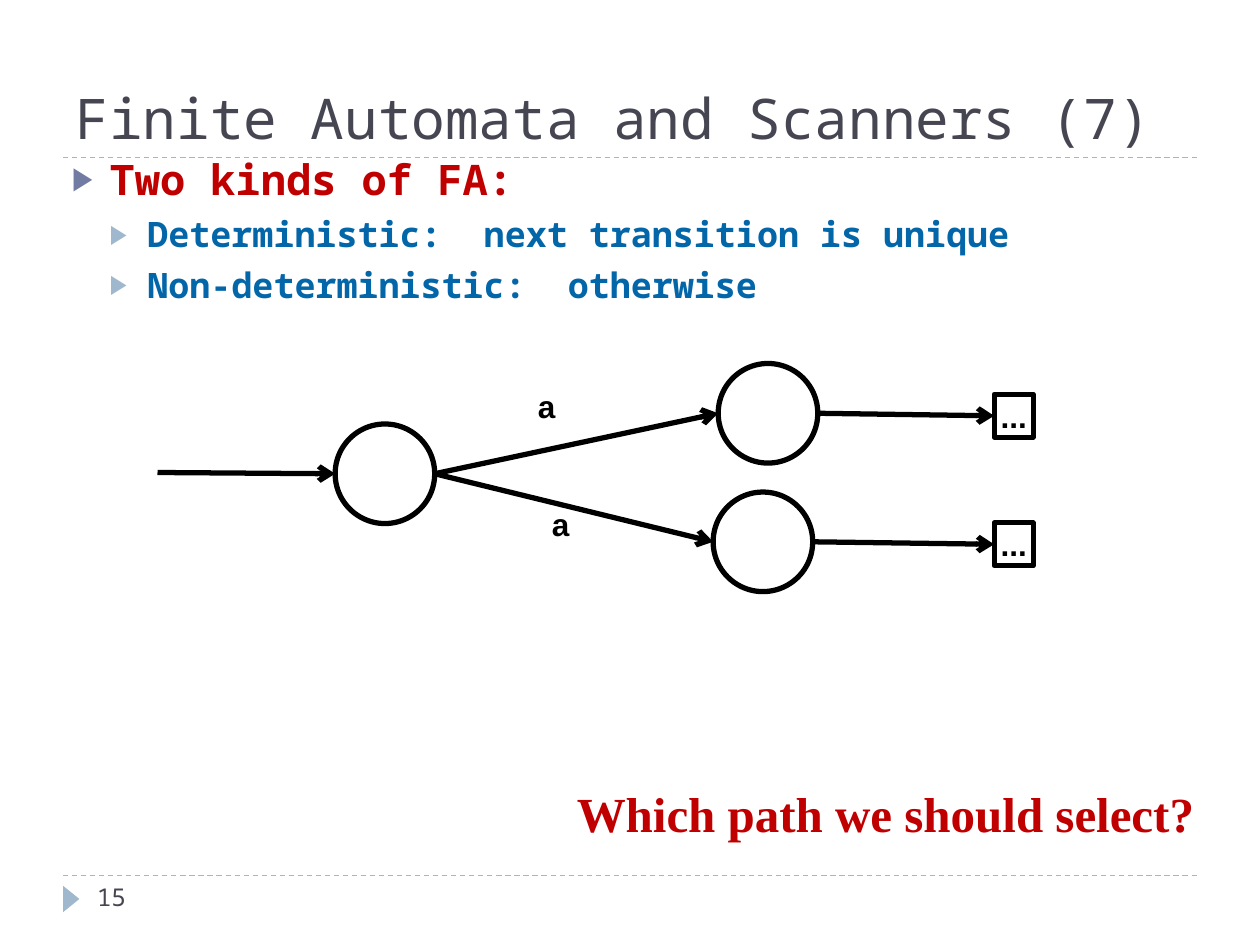
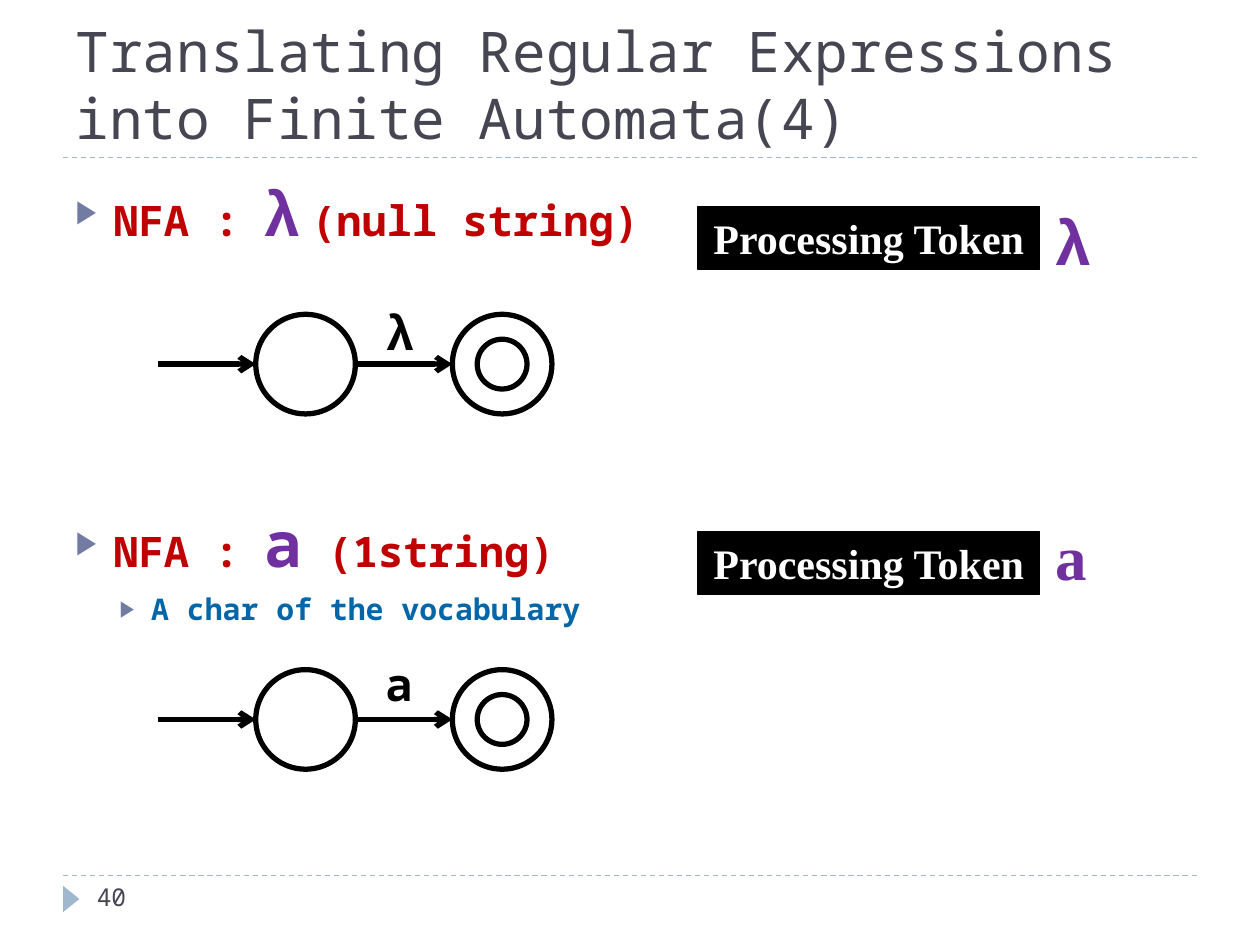
import pptx
import pptx.util
import pptx.dml.color
import pptx.enum.dml
import pptx.enum.shapes
import pptx.enum.text
import pptx.oxml.ns
import lxml.etree

Inches, Pt = pptx.util.Inches, pptx.util.Pt
SHAPE = pptx.enum.shapes.MSO_SHAPE
ANCHOR = pptx.enum.text.MSO_ANCHOR
ALIGN = pptx.enum.text.PP_ALIGN

COLORS = {
    "black": "000000", "white": "FFFFFF", "title": "464653", "red": "C00000",
    "blue": "0366A9", "purple": "7030A0", "band": "9FB8CD", "bullet": "727CA3",
}
MONO, SANS, SERIF = "Noto Sans Mono", "Arial", "Times New Roman"
STATE_SIZE = 0.79
WIDE, TIGHT = (0.1, 0.05), (0.05, 0.02)


def rgb(name):
    return pptx.dml.color.RGBColor.from_string(COLORS[name])


def sub(parent, tag, **attrs):
    return lxml.etree.SubElement(parent, pptx.oxml.ns.qn(tag), **attrs)


# Text
def add_text(p, text, size=18, font=MONO, color="black", bold=True):
    for i, line in enumerate(text.split("\n")):
        if i:
            p.add_line_break()
        r = p.add_run()
        r.text = line
        r.font.size, r.font.name, r.font.bold = Pt(size), font, bold
        r.font.color.rgb = rgb(color)


def set_frame(tf, wrap=False, insets=WIDE, anchor=ANCHOR.TOP):
    tf.auto_size = pptx.enum.text.MSO_AUTO_SIZE.NONE
    tf.word_wrap = wrap
    tf.vertical_anchor = anchor
    tf.margin_left = tf.margin_right = Inches(insets[0])
    tf.margin_top = tf.margin_bottom = Inches(insets[1])


def add_label(s, text, x, y, w, h, insets=WIDE, **fmt):
    tf = s.shapes.add_textbox(Inches(x), Inches(y), Inches(w), Inches(h)).text_frame
    set_frame(tf, insets=insets)
    add_text(tf.paragraphs[0], text, **fmt)


def place(sp, x, y, w, h):
    sp.left, sp.top, sp.width, sp.height = map(Inches, (x, y, w, h))


def add_bullet(p, color, level=0, hang=0.3, before=0):
    p.level = level
    pPr = p._p.get_or_add_pPr()
    pPr.set("marL", str(Inches(0.6 if level else 0.3)))
    pPr.set("indent", str(-Inches(hang)))
    sub(sub(pPr, "a:buClr"), "a:srgbClr", val=COLORS[color])
    sub(pPr, "a:buSzPct", val="76000")
    sub(pPr, "a:buChar", char="▶")
    p.space_before = Pt(before)


def fill_body(s, x, y, items):
    """Each item is (bullet options, list of (text, format) runs)."""
    body = s.placeholders[1]
    place(body, x, y, 9, 5.4)
    tf = body.text_frame
    set_frame(tf, wrap=True)
    for i, (bullet, runs) in enumerate(items):
        p = tf.add_paragraph() if i else tf.paragraphs[0]
        add_bullet(p, **bullet)
        for text, fmt in runs:
            add_text(p, text, **fmt)


# Lines and shapes
def add_line(s, start, end, color="black", width=3, arrow=False):
    c = s.shapes.add_connector(pptx.enum.shapes.MSO_CONNECTOR.STRAIGHT,
                               *map(Inches, (*start, *end)))
    c.line.color.rgb = rgb(color)
    c.line.width = Pt(width)
    if arrow:
        sub(c.line._get_or_add_ln(), "a:tailEnd", type="arrow")
    sub(c._element.spPr, "a:effectLst")
    return c


def add_shape(s, kind, x, y, w, h, fill=None, line=None, width=3):
    sp = s.shapes.add_shape(kind, *map(Inches, (x, y, w, h)))
    sp.shadow.inherit = False
    if fill:
        sp.fill.solid()
        sp.fill.fore_color.rgb = rgb(fill)
    else:
        sp.fill.background()
    if line:
        sp.line.color.rgb = rgb(line)
        sp.line.width = Pt(width)
    else:
        sp.line.fill.background()
    return sp


def add_state(s, x, mid, kind=SHAPE.OVAL, fill=None):
    return add_shape(s, kind, x, mid - STATE_SIZE / 2, STATE_SIZE, STATE_SIZE,
                     fill=fill, line="black")


def add_rest(s, x, mid):
    """Box standing for the rest of the automaton."""
    sp = add_shape(s, SHAPE.RECTANGLE, x, mid - 0.17, 0.31, 0.34, line="black")
    set_frame(sp.text_frame, insets=TIGHT, anchor=ANCHOR.MIDDLE)
    p = sp.text_frame.paragraphs[0]
    p.alignment = ALIGN.CENTER
    add_text(p, "...", font=SANS)
    return sp


def add_token_banner(s, y):
    sp = add_shape(s, SHAPE.RECTANGLE, 5.54, y, 2.71, 0.5, "black", "black", 0.75)
    set_frame(sp.text_frame)
    p = sp.text_frame.paragraphs[0]
    p.alignment = ALIGN.CENTER
    add_text(p, "Processing Token", size=24, font=SERIF, color="white")


def add_two_state_nfa(s, mid):
    start, final = 2.03, 3.59
    add_state(s, start, mid, fill="white")
    add_state(s, final, mid, SHAPE.DONUT, "white")
    add_line(s, (1.25, mid), (start, mid), arrow=True)
    add_line(s, (start + STATE_SIZE, mid), (final, mid), arrow=True)


# Shared slide frame
def new_slide(prs, title, number):
    s = prs.slides.add_slide(prs.slide_layouts[1])
    for y in (6.95, 1.25):
        rule = add_line(s, (0.5, y), (9.5, y), "band", 0.75)
        rule.line.dash_style = pptx.enum.dml.MSO_LINE.DASH
    add_shape(s, SHAPE.ISOSCELES_TRIANGLE, 0.46, 7.07, 0.21, 0.13, "band").rotation = 90
    place(s.shapes.title, 0.5, 0.17, 9, 1.08)
    tf = s.shapes.title.text_frame
    set_frame(tf, wrap=True, anchor=ANCHOR.BOTTOM)
    tf.paragraphs[0].alignment = ALIGN.LEFT
    add_text(tf.paragraphs[0], title, size=32, color="title", bold=False)
    add_label(s, number, 0.67, 6.95, 2.17, 0.4, size=14, color="title", bold=False)
    return s


def build_kinds_slide(prs):
    s = new_slide(prs, "Finite Automata and Scanners (7)", "15")
    head, detail = dict(size=24, color="red"), dict(size=20, color="blue")
    sub_bullet = dict(color="band", level=1, before=5)
    fill_body(s, 0.47, 1.17, [
        (dict(color="bullet"), [("Two kinds of FA:", head)]),
        (sub_bullet, [("Deterministic:  next transition is unique", detail)]),
        (sub_bullet, [("Non-deterministic:  otherwise", detail)]),
    ])

    # Automaton with two transitions on the same symbol
    start, mid, rest = 2.66, 3.76, 7.89
    add_state(s, start, mid)
    add_line(s, (1.25, 3.75), (start, mid), arrow=True)
    for x, y in ((5.7, 3.28), (5.66, 4.3)):
        add_state(s, x, y)
        add_line(s, (start + STATE_SIZE, mid), (x, y), arrow=True)
        box = add_rest(s, rest, y + 0.02)
        add_line(s, (x + STATE_SIZE, y), (rest, y), arrow=True).end_connect(box, 1)
    for x, y in ((4.22, 3.05), (4.33, 3.99)):
        add_label(s, "a", x, y, 0.24, 0.34, insets=TIGHT, font=SANS)
    add_label(s, "Which path we should select?", 4.48, 6.17, 5.1, 0.57,
              size=28, font=SERIF, color="red")


def build_translation_slide(prs):
    s = new_slide(prs, "Translating Regular Expressions \ninto Finite Automata(4)", "40")
    head = dict(size=24, color="red")
    symbol = dict(size=36, color="purple")
    fill_body(s, 0.5, 1.33, [
        (dict(color="bullet"),
         [("NFA : ", head), ("λ", dict(symbol, font=SANS)),
          (" ", dict(size=24, font=SANS)), ("(null string)", head)]),
        (dict(color="bullet", before=146),
         [("NFA : ", head), ("a", symbol), (" (1string)", head)]),
        (dict(color="bullet", level=2, hang=0.25, before=6),
         [("A char of the vocabulary", dict(size=17, color="blue"))]),
    ])

    # One automaton and one token banner for each expression
    for mid in (2.89, 5.71):
        add_two_state_nfa(s, mid)
    add_label(s, "λ", 2.97, 2.34, 0.41, 0.57, size=28, font=SANS)
    add_label(s, "a", 2.96, 5.16, 0.42, 0.54, size=26)
    for banner, y, token, font in ((1.64, 1.56, "λ", SANS), (4.22, 4.06, "a", SERIF)):
        add_token_banner(s, banner)
        add_label(s, token, 8.28, y, 0.47, 0.7, size=36, font=font, color="purple")


def main():
    prs = pptx.Presentation()
    prs.slide_width, prs.slide_height = Inches(10), Inches(7.5)
    build_kinds_slide(prs)
    build_translation_slide(prs)
    prs.save("out.pptx")


if __name__ == "__main__":
    main()
